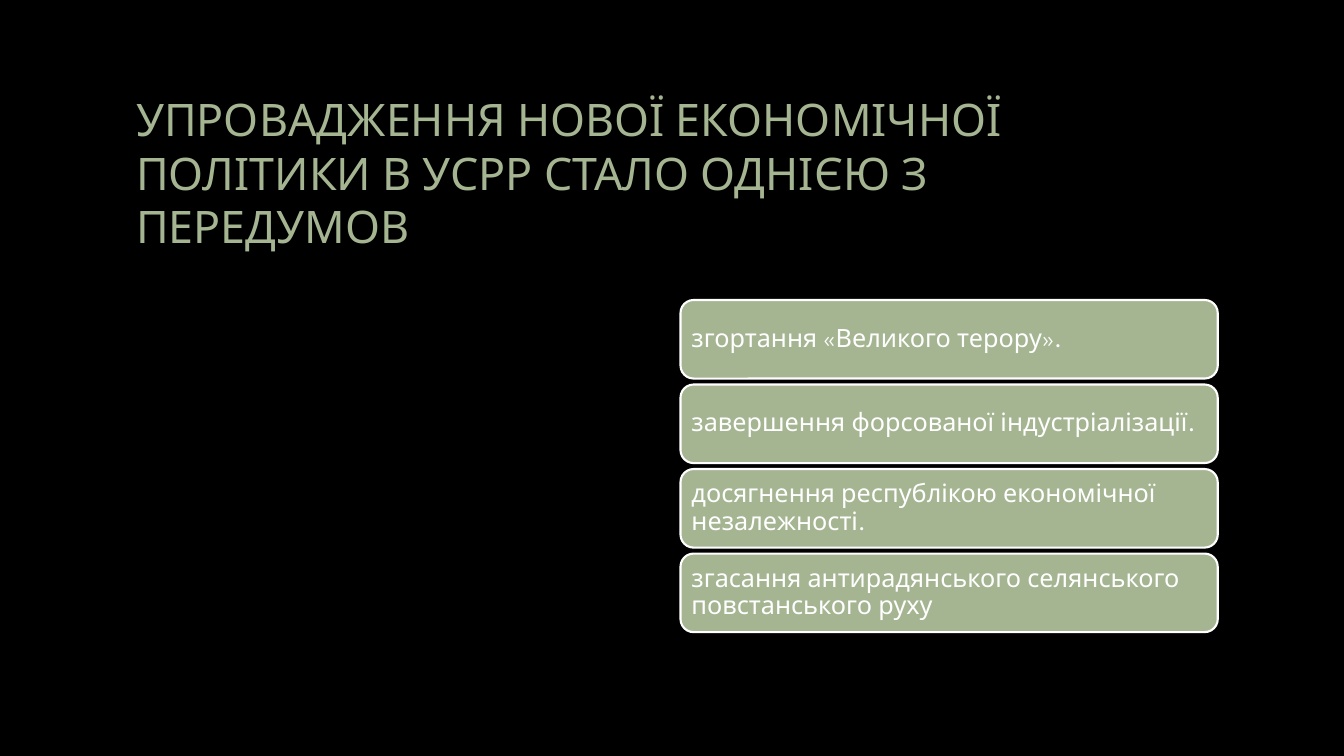
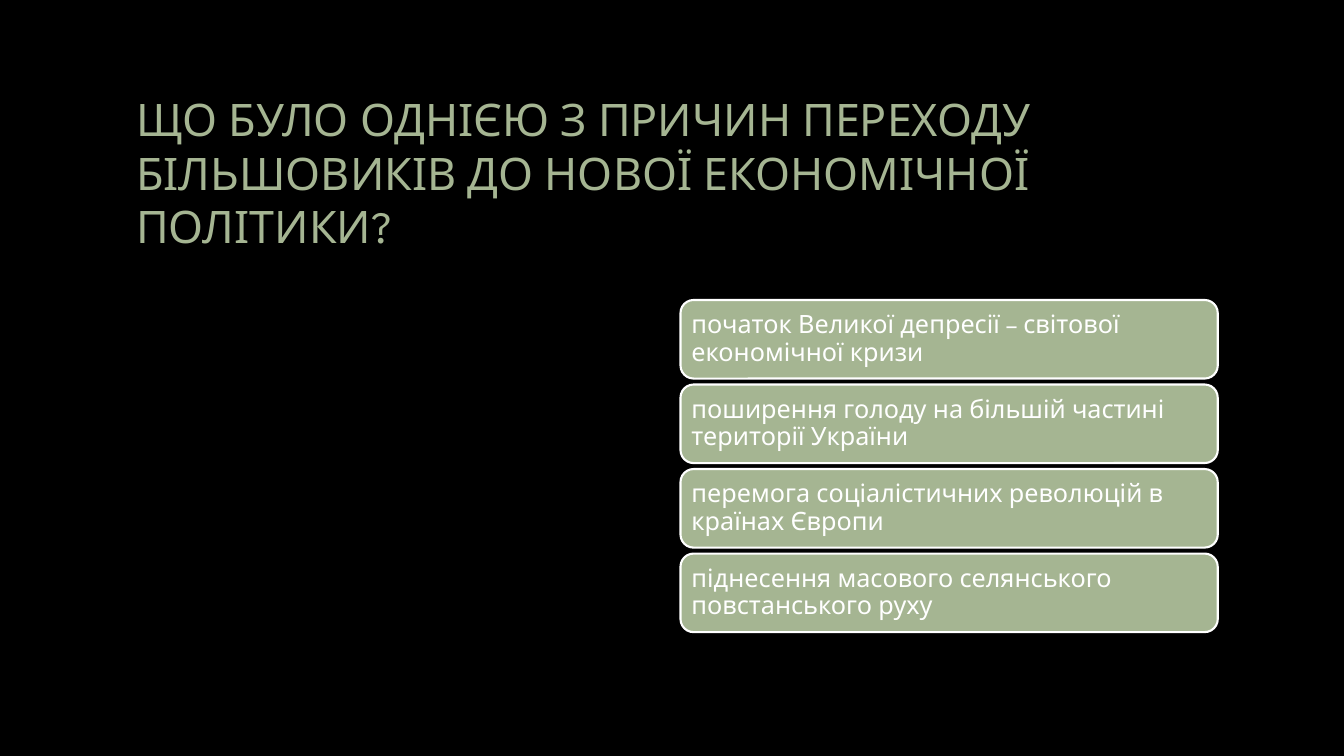
from pptx import Presentation
from pptx.dml.color import RGBColor
from pptx.enum.shapes import MSO_SHAPE
from pptx.enum.text import MSO_ANCHOR, PP_ALIGN
from pptx.util import Cm, Pt

FONT = "League Spartan"
BLACK, SAGE, WHITE = "000000", "A5B592", "FFFFFF"

LEFT, RIGHT = 3.18, 30.69
ANSWER_LEFT, ANSWER_TOP = 17.15, 7.56
ANSWER_HEIGHT, ANSWER_GAP = 1.98, 0.15

QUESTIONS = [
    ("УПРОВАДЖЕННЯ НОВОЇ ЕКОНОМІЧНОЇ ПОЛІТИКИ В УСРР СТАЛО ОДНІЄЮ З ПЕРЕДУМОВ", [
        "згортання «Великого терору».",
        "завершення форсованої індустріалізації.",
        "досягнення республікою економічної незалежності.",
        "згасання антирадянського селянського повстанського руху",
    ]),
    ("ЩО БУЛО ОДНІЄЮ З ПРИЧИН ПЕРЕХОДУ БІЛЬШОВИКІВ ДО НОВОЇ ЕКОНОМІЧНОЇ ПОЛІТИКИ?", [
        "початок Великої депресії – світової економічної кризи",
        "поширення голоду на більшій частині території України",
        "перемога соціалістичних революцій в країнах Європи",
        "піднесення масового селянського повстанського руху",
    ]),
]


def rgb(value):
    return RGBColor.from_string(value)


def write(sp, text, size, color):
    """Put one left-aligned, vertically centred paragraph in a shape."""
    tf = sp.text_frame
    tf.word_wrap = True
    tf.vertical_anchor = MSO_ANCHOR.MIDDLE
    p = tf.paragraphs[0]
    p.alignment = PP_ALIGN.LEFT
    r = p.add_run()
    r.text = text
    r.font.name = FONT
    r.font.size = Pt(size)
    r.font.color.rgb = rgb(color)
    return tf


prs = Presentation()
prs.slide_width, prs.slide_height = Cm(33.87), Cm(19.05)

background = prs.slide_master.background.fill
background.solid()
background.fore_color.rgb = rgb(BLACK)

for question, answers in QUESTIONS:
    s = prs.slides.add_slide(prs.slide_layouts[6])
    title = s.shapes.add_textbox(Cm(LEFT), Cm(1.7), Cm(RIGHT - LEFT), Cm(5.28))
    write(title, question, 32, SAGE)

    for i, answer in enumerate(answers):
        top = ANSWER_TOP + i * (ANSWER_HEIGHT + ANSWER_GAP)
        sp = s.shapes.add_shape(MSO_SHAPE.ROUNDED_RECTANGLE, Cm(ANSWER_LEFT), Cm(top),
                                Cm(RIGHT - ANSWER_LEFT), Cm(ANSWER_HEIGHT))
        sp.shadow.inherit = False
        sp.fill.solid()
        sp.fill.fore_color.rgb = rgb(SAGE)
        sp.line.color.rgb = rgb(WHITE)
        sp.line.width = Pt(1.5)
        tf = write(sp, answer, 18, WHITE)
        tf.margin_left = tf.margin_right = tf.margin_top = tf.margin_bottom = Cm(0.18)
        tf.paragraphs[0].line_spacing = 0.9

prs.save("out.pptx")
